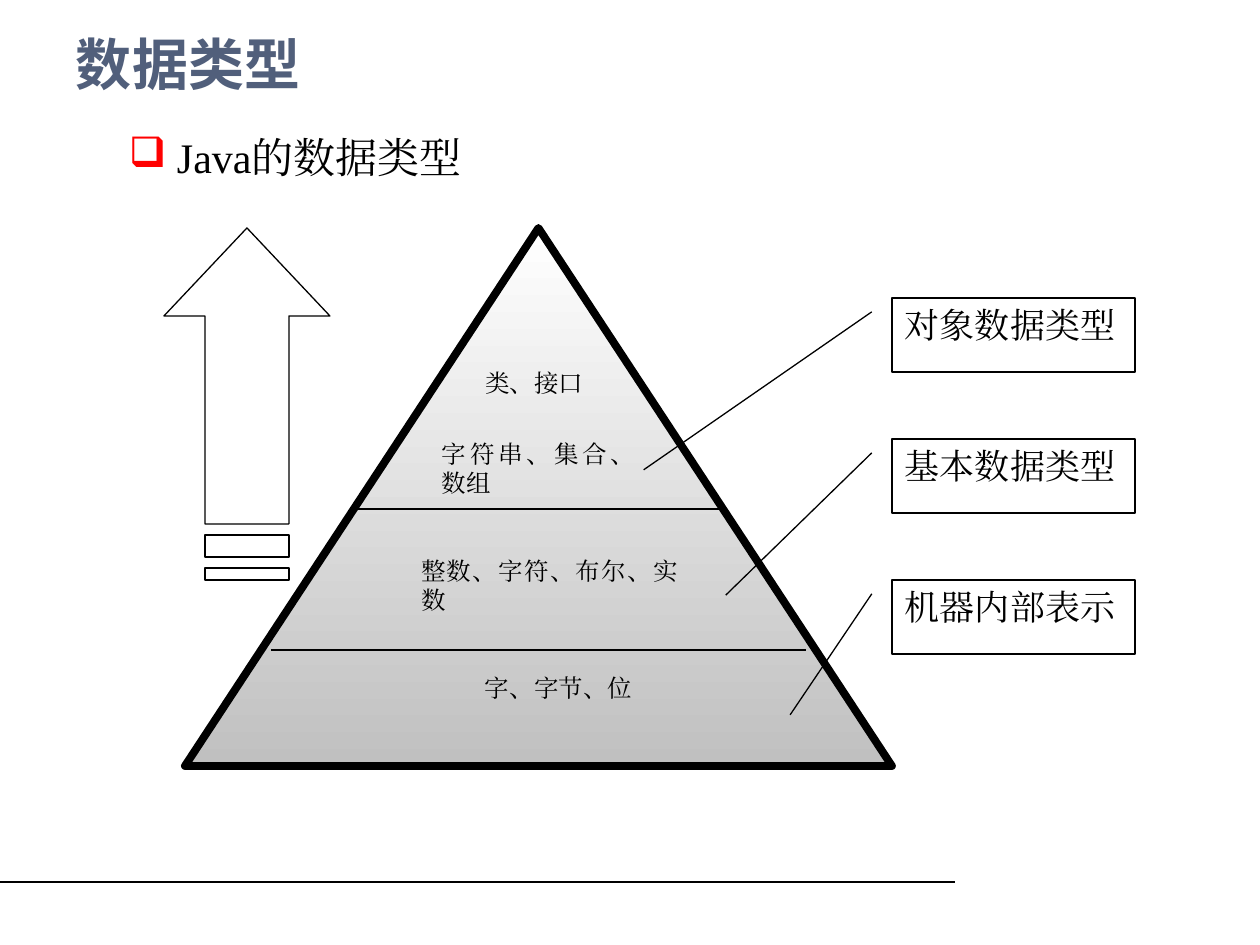
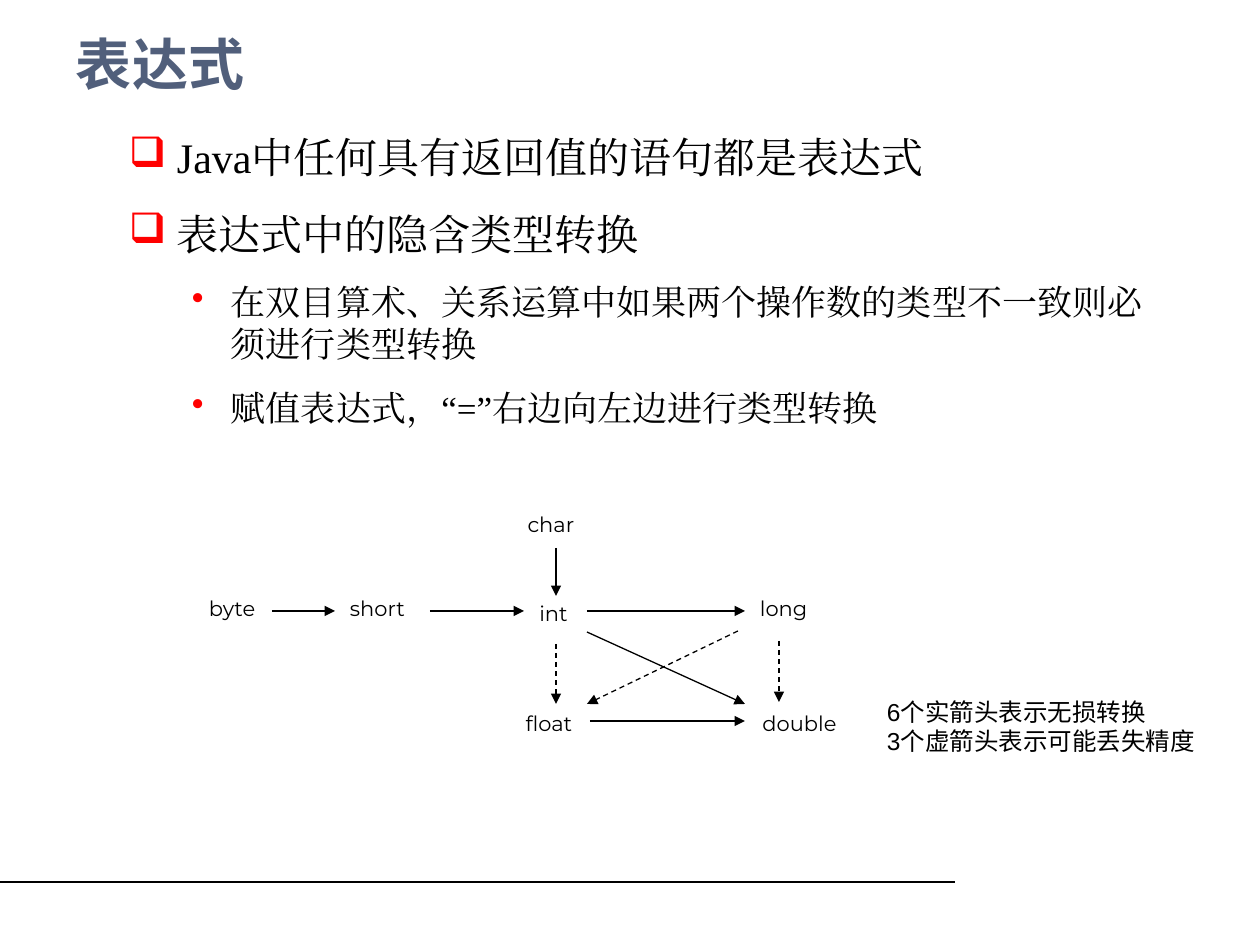
"""Build two slides on Java data types and expressions."""
from lxml.etree import SubElement
from pptx import Presentation
from pptx.dml.color import RGBColor
from pptx.enum.dml import MSO_LINE_DASH_STYLE as Dash
from pptx.enum.shapes import MSO_CONNECTOR as Link, MSO_SHAPE as Shape
from pptx.enum.text import MSO_ANCHOR as Anchor, PP_ALIGN as Align
from pptx.oxml.ns import qn
from pptx.util import Pt

PX = 7257
BLACK, WHITE, RED, TITLE, SILVER = "000000", "FFFFFF", "FF0000", "515F7B", "C0C0C0"
SERIF, HEADING, SANS, ROUND = "Times New Roman", "Noto Sans CJK SC", "Arial", "Montserrat"
LEVELS = [("❑", 24, 48, 48, 15), ("•", 20, 102, 39, 12.5)]


def colour(code):
    return RGBColor.from_string(code)


def write(box, text, size=14, font=SERIF, ink=BLACK, bold=False, align=Align.LEFT,
          anchor=Anchor.TOP, inset=(13, 6), wrap=True, levels=None):
    frame = box.text_frame
    frame.word_wrap, frame.vertical_anchor = wrap, anchor
    frame.margin_left = frame.margin_right = inset[0] * PX
    frame.margin_top = frame.margin_bottom = inset[1] * PX
    for index, line in enumerate(text.split("\n")):
        para = frame.add_paragraph() if index else frame.paragraphs[0]
        para.alignment = align
        span = para.add_run()
        span.text = line
        if levels:
            mark, size, margin, hang, before = LEVELS[levels[index]]
            para.space_before = Pt(before)
            props = para._p.get_or_add_pPr()
            props.set("marL", str(margin * PX))
            props.set("indent", str(-hang * PX))
            tint = SubElement(props, qn("a:buClr"))
            SubElement(tint, qn("a:srgbClr"), val=RED)
            SubElement(props, qn("a:buChar"), char=mark)
        span.font.size, span.font.bold, span.font.name = Pt(size), bold, font
        span.font.color.rgb = colour(ink)
        SubElement(span._r.get_or_add_rPr(), qn("a:ea"), typeface=font)


deck = Presentation()
deck.slide_width, deck.slide_height = 1260 * PX, 945 * PX

contents = [
    ("数据类型", "Java的数据类型", [0]),
    ("表达式",
     "Java中任何具有返回值的语句都是表达式\n"
     "表达式中的隐含类型转换\n"
     "在双目算术、关系运算中如果两个操作数的类型不一致则必须进行类型转换\n"
     "赋值表达式，“=”右边向左边进行类型转换", [0, 0, 1, 1]),
]
for title, body, levels in contents:
    page = deck.slides.add_slide(deck.slide_layouts[6])
    backdrop = page.background.fill
    backdrop.gradient()
    backdrop.gradient_angle = 270
    for stop, code in zip(backdrop.gradient_stops, (WHITE, "FEFEFE")):
        stop.color.rgb = colour(code)
    heading = page.shapes.add_textbox(63 * PX, 32 * PX, 1140 * PX, 63 * PX)
    write(heading, title, size=32, font=HEADING, ink=TITLE, bold=True, anchor=Anchor.MIDDLE)
    bullets = page.shapes.add_textbox(116 * PX, 126 * PX, 1071 * PX, 300 * PX)
    write(bullets, body, levels=levels)
types_page, casts_page = deck.slides

pyramid = types_page.shapes.add_shape(
    Shape.ISOSCELES_TRIANGLE, 185 * PX, 228 * PX, 707 * PX, 538 * PX)
pyramid.shadow.inherit = False
pyramid.fill.gradient()
pyramid.fill.gradient_angle = 270
for stop, code in zip(pyramid.fill.gradient_stops, (WHITE, SILVER)):
    stop.color.rgb = colour(code)
pyramid.line.color.rgb = colour(BLACK)
pyramid.line.width = Pt(4.5)

layers = [
    ("类、接口", 485, 368, 107),
    ("字符串、集合、数组", 442, 439, 193),
    ("整数、字符、布尔、实数", 421, 556, 257),
    ("字、字节、位", 485, 673, 150),
]
for text, left, top, width in layers:
    label = types_page.shapes.add_textbox(left * PX, top * PX, width * PX, 47 * PX)
    write(label, text, align=Align.JUSTIFY, inset=(0, 0))

callouts = [
    ("对象数据类型", 2.323, -1.022),
    ("基本数据类型", 2.11, -0.684),
    ("机器内部表示", 1.823, -0.419),
]
for row, (text, tip_y, tip_x) in enumerate(callouts):
    callout = types_page.shapes.add_shape(
        Shape.LINE_CALLOUT_1, 892 * PX, (298 + 141 * row) * PX, 243 * PX, 74 * PX)
    for index, value in enumerate((0.188, -0.083, tip_y, tip_x)):
        callout.adjustments[index] = value
    callout.shadow.inherit = False
    callout.fill.solid()
    callout.fill.fore_color.rgb = colour(WHITE)
    callout.line.color.rgb = colour(BLACK)
    callout.line.width = Pt(0.75)
    write(callout, text, size=20, align=Align.JUSTIFY)

outline = types_page.shapes.build_freeform(205, 524, scale=PX)
outline.add_line_segments(
    [(205, 316), (164, 316), (247, 228), (330, 316), (289, 316), (289, 524)])
for top, bottom in [(535, 557), (568, 580)]:
    outline.move_to(205, bottom)
    outline.add_line_segments([(205, top), (289, top), (289, bottom)])
arrow = outline.convert_to_shape()
arrow.shadow.inherit = False
arrow.fill.solid()
arrow.fill.fore_color.rgb = colour(WHITE)
arrow.line.color.rgb = colour(BLACK)
arrow.line.width = Pt(0.75)

type_names = [
    ("char", 512, 512, 78, 36, Align.CENTER),
    ("byte", 209, 596, 63, 30, Align.JUSTIFY),
    ("short", 350, 596, 80, 30, Align.JUSTIFY),
    ("int", 530, 601, 47, 30, Align.CENTER),
    ("long", 760, 596, 79, 35, Align.JUSTIFY),
    ("float", 510, 711, 78, 48, Align.CENTER),
    ("double", 760, 711, 79, 36, Align.CENTER),
]
nodes = {}
for name, left, top, width, height, align in type_names:
    node = casts_page.shapes.add_shape(
        Shape.RECTANGLE, left * PX, top * PX, width * PX, height * PX)
    node.shadow.inherit = False
    node.fill.solid()
    node.fill.fore_color.rgb = colour(WHITE)
    node.line.fill.background()
    write(node, name, size=12, font=ROUND, align=align, inset=(0, 0))
    nodes[name] = node

legend = casts_page.shapes.add_textbox(874 * PX, 691 * PX, 339 * PX, 72 * PX)
write(legend, "6个实箭头表示无损转换\n3个虚箭头表示可能丢失精度", font=SANS, wrap=False)

plain, solid, dashed = (False, False), (True, False), (True, True)
lines = [
    (types_page, 0, 882, 955, 882, plain, None),
    (casts_page, 0, 882, 955, 882, plain, None),
    (types_page, 357, 509, 721, 509, plain, None),
    (types_page, 271, 650, 806, 650, plain, None),
    (casts_page, 556, 548, 556, 596, solid, None),
    (casts_page, 272, 611, 335, 611, solid, "byte"),
    (casts_page, 430, 611, 524, 611, solid, "short"),
    (casts_page, 587, 611, 745, 611, solid, None),
    (casts_page, 587, 632, 745, 704, solid, None),
    (casts_page, 590, 721, 745, 721, solid, None),
    (casts_page, 556, 644, 556, 704, dashed, None),
    (casts_page, 779, 641, 779, 702, dashed, None),
    (casts_page, 738, 631, 587, 704, dashed, None),
]
for page, x1, y1, x2, y2, (pointed, broken), source in lines:
    line = page.shapes.add_connector(Link.STRAIGHT, x1 * PX, y1 * PX, x2 * PX, y2 * PX)
    if source:
        line.begin_connect(nodes[source], 3)
    line.line.color.rgb = colour(BLACK)
    line.line.width = Pt(0.75)
    if broken:
        line.line.dash_style = Dash.DASH
    if pointed:
        SubElement(line.line._get_or_add_ln(), qn("a:tailEnd"), type="triangle")
    SubElement(line._element.spPr, qn("a:effectLst"))

deck.save("out.pptx")
